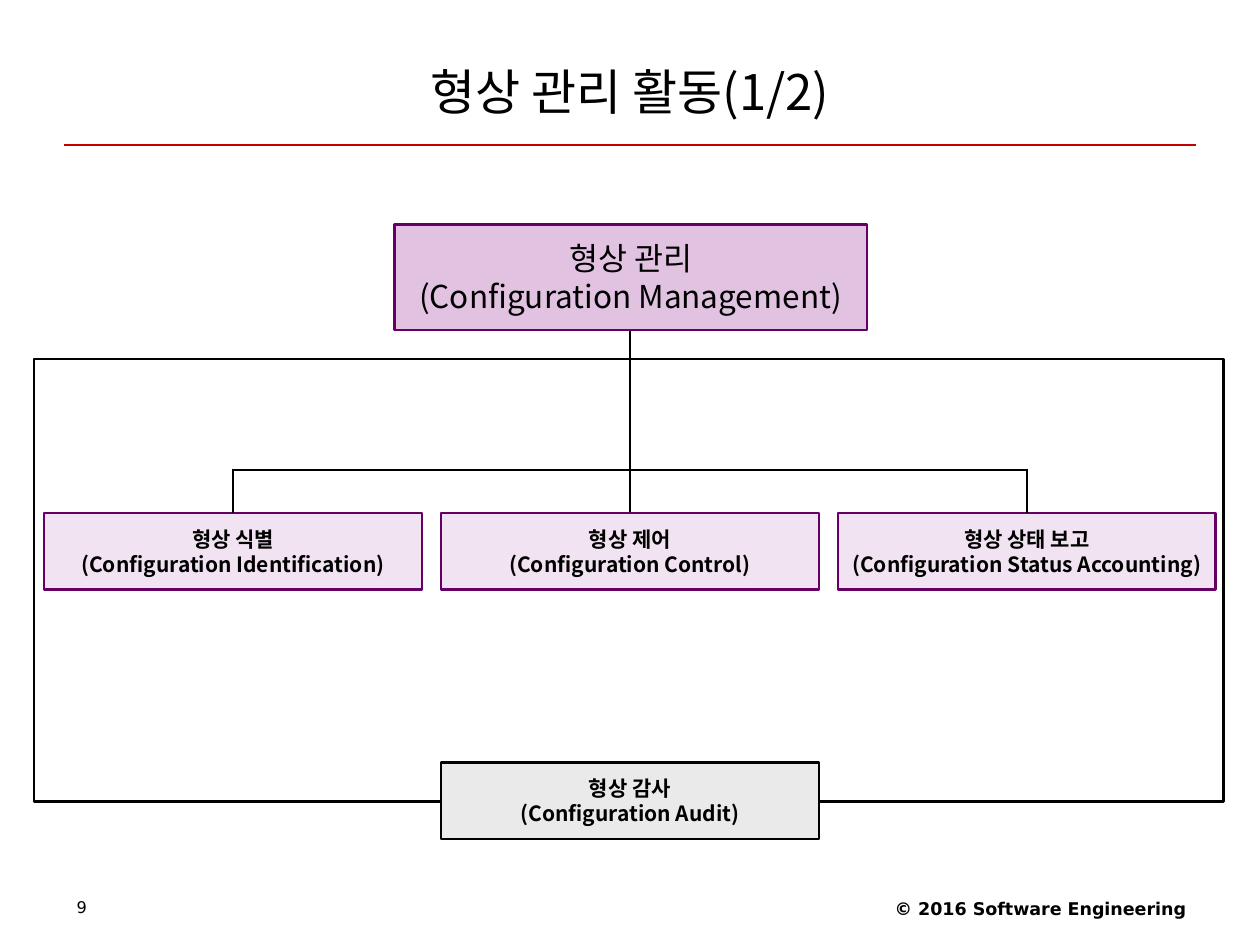
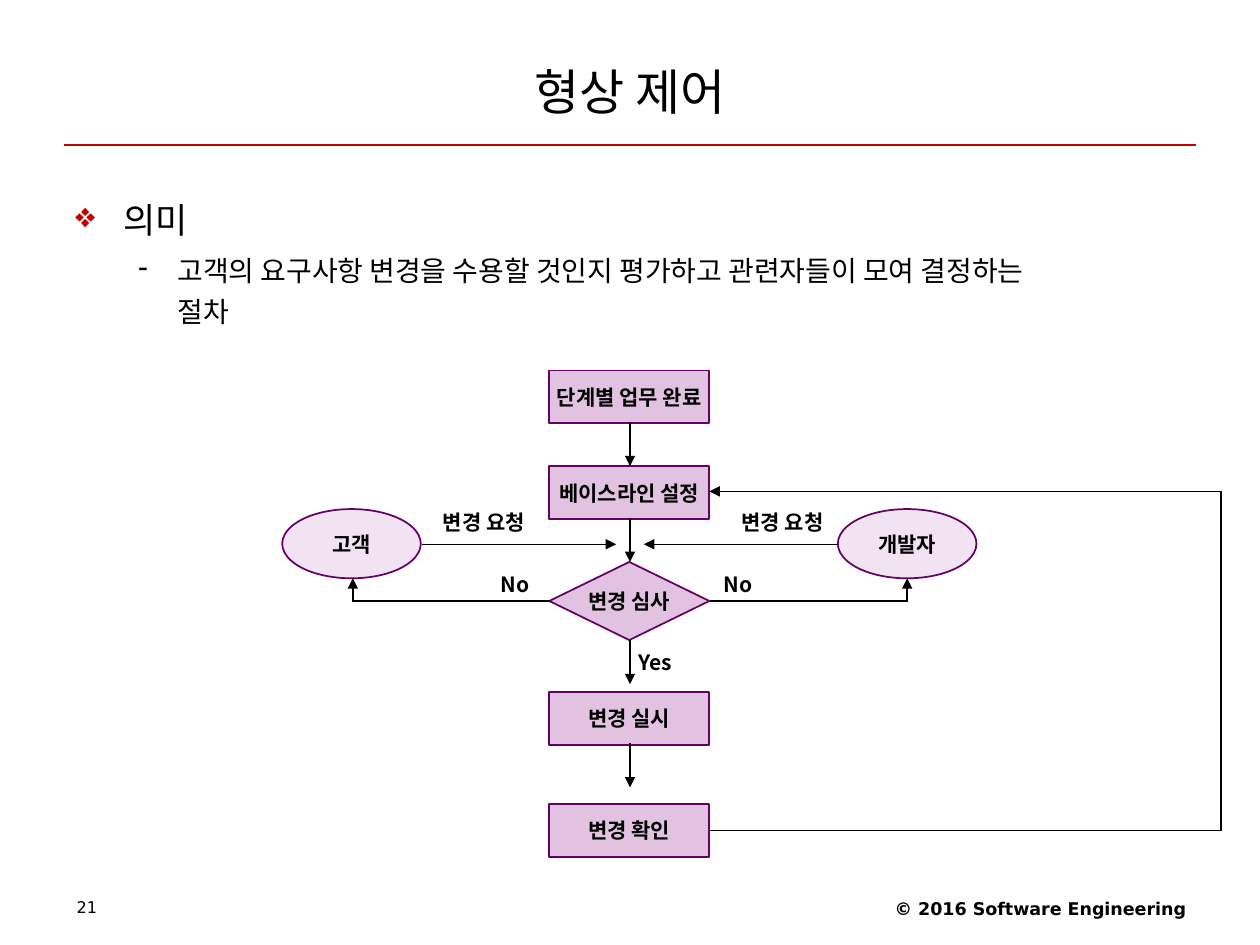
from copy import deepcopy

from lxml import etree
from pptx import Presentation
from pptx.dml.color import RGBColor
from pptx.enum import shapes, text
from pptx.oxml import ns
from pptx.util import Inches, Pt

BLACK = RGBColor(0x00, 0x00, 0x00)
WHITE = RGBColor(0xFF, 0xFF, 0xFF)
RED = RGBColor(0xC4, 0x00, 0x00)
PURPLE = RGBColor(0x66, 0x00, 0x66)
LILAC = RGBColor(0xE1, 0xC3, 0xE1)
PALE = RGBColor(0xF1, 0xE3, 0xF1)
GREY = RGBColor(0xEA, 0xEA, 0xEA)

HANGUL = "Noto Sans CJK KR"
LATIN = "DejaVu Sans"
KIND = shapes.MSO_SHAPE
ALIGN = text.PP_ALIGN
MID = 5


def add_tag(parent, tag, **attrs):
    return etree.SubElement(parent, ns.qn(tag), **attrs)


class Deck:
    """Holds the shared style and the slide being drawn."""

    def __init__(self):
        self.prs = Presentation()
        self.prs.slide_width = Inches(10)
        self.prs.slide_height = Inches(7.5)
        self.slide = None

    def start(self, title, number):
        """Open a slide with the title, rule and footer that all slides share."""
        self.slide = self.prs.slides.add_slide(self.prs.slide_layouts[6])
        self.route([(0.51, 1.15), (9.49, 1.15)], 0.75, RED)
        foot = self.label((6.34, 7.08, 3.17, 0.29))
        self.set_text(foot.paragraphs[0], "© 2016 Software Engineering", 10,
                      True, LATIN, ALIGN.RIGHT)
        page = self.label((0.51, 7.09, 2.33, 0.28)).paragraphs[0]
        self.set_text(page, number, 9.2, False, LATIN, ALIGN.LEFT)
        page.line_spacing = 0.9
        head = self.label((0.5, 0.3, 9, 0.85))
        head.vertical_anchor = text.MSO_ANCHOR.MIDDLE
        self.set_text(head.paragraphs[0], title, 28)

    def set_text(self, para, words, size, bold=False, font=HANGUL,
                 align=ALIGN.CENTER):
        para.text = words
        para.alignment = align
        for run in para.runs:
            run.font.size = Pt(size)
            run.font.bold = bold
            run.font.name = font
            run.font.color.rgb = BLACK
            add_tag(run.font._element, "a:ea", typeface=font)
        for gap in para._p.findall(ns.qn("a:br")):
            gap.append(deepcopy(para.runs[0].font._element))

    def label(self, area):
        frame = self.slide.shapes.add_textbox(*map(Inches, area)).text_frame
        frame.word_wrap = True
        return frame

    def box(self, area, words="", fill=None, edge=PURPLE, width=1, size=12,
            bold=True, kind=KIND.RECTANGLE):
        shape = self.slide.shapes.add_shape(kind, *map(Inches, area))
        shape.shadow.inherit = False
        if fill is None:
            shape.fill.background()
        else:
            shape.fill.solid()
            shape.fill.fore_color.rgb = fill
        if edge is None:
            shape.line.fill.background()
        else:
            shape.line.color.rgb = edge
            shape.line.width = Pt(width)
        if words:
            frame = shape.text_frame
            frame.word_wrap = False
            frame.vertical_anchor = text.MSO_ANCHOR.MIDDLE
            self.set_text(frame.paragraphs[0], words, size, bold)

    def route(self, points, width=0.75, color=BLACK, arrow=False):
        """Join the points with straight lines; the arrow sits at the last."""
        for start, end in zip(points, points[1:]):
            line = self.slide.shapes.add_connector(
                shapes.MSO_CONNECTOR.STRAIGHT, *map(Inches, start + end))
            line.line.color.rgb = color
            line.line.width = Pt(width)
            if len(points) > 2:
                line.line._get_or_add_ln().set("cap", "sq")
            if arrow and end == points[-1]:
                add_tag(line.line._get_or_add_ln(), "a:tailEnd", type="triangle")
            add_tag(line._element.spPr, "a:effectLst")

    def bullet(self, para, words, size, mark, color, left, hang, space, before):
        self.set_text(para, words, size, align=ALIGN.LEFT)
        para.line_spacing = space
        para.space_before = Pt(before)
        props = para._p.get_or_add_pPr()
        props.set("marL", str(Inches(left)))
        props.set("indent", str(-Inches(hang)))
        add_tag(add_tag(props, "a:buClr"), "a:srgbClr", val=str(color))
        add_tag(props, "a:buChar", char=mark)


def draw_tree(deck):
    deck.start("형상 관리 활동(1/2)", "9")
    deck.box((3.13, 1.78, 3.75, 0.84), "형상 관리\n(Configuration Management)",
             LILAC, width=1.5, size=18, bold=False)
    tasks = ["형상 식별\n(Configuration Identification)",
             "형상 제어\n(Configuration Control)",
             "형상 상태 보고\n(Configuration Status Accounting)"]
    for col, task in enumerate(tasks):
        deck.box((0.35 + 3.15 * col, 4.07, 3, 0.61), task, PALE, width=1.5)
    deck.route([(MID, 2.63), (MID, 4.06)], 1.5)
    deck.route([(1.85, 4.06), (1.85, 3.73), (8.15, 3.73), (8.15, 4.06)], 1.5)
    deck.box((0.27, 2.85, 9.44, 3.51), edge=BLACK, width=1.5)
    deck.box((3.5, 6.05, 3, 0.61), "형상 감사\n(Configuration Audit)",
             GREY, BLACK, 1.5)


def draw_flow(deck):
    deck.start("형상 제어", "21")
    body = deck.label((0.5, 1.39, 9, 5.51))
    deck.bullet(body.paragraphs[0], "의미", 20, "❖", RED, 0.38, 0.38, 1.4, 5)
    deck.bullet(body.add_paragraph(),
                "고객의 요구사항 변경을 수용할 것인지 평가하고 관련자들이 모여 결정하는 \n절차",
                16, "-", BLACK, 0.81, 0.31, 1.2, 4)

    steps = [("단계별 업무 완료", 2.94), ("베이스라인 설정", 3.7),
             ("변경 실시", 5.49), ("변경 확인", 6.38)]
    for step, top in steps:
        deck.box((4.36, top, 1.27, 0.42), step, LILAC)
    deck.box((4.36, 4.46, 1.27, 0.62), "변경 심사", LILAC, kind=KIND.DIAMOND)
    for actor, left in [("고객", 2.24), ("개발자", 6.65)]:
        deck.box((left, 4.04, 1.1, 0.55), actor, PALE, kind=KIND.OVAL)

    for top in (3.35, 4.11, 5.08, 5.9):
        deck.route([(MID, top), (MID, top + 0.35)], arrow=True)
    deck.route([(5.63, 6.59), (9.69, 6.59), (9.69, 3.9), (5.63, 3.9)],
               arrow=True)
    for side in (-1, 1):
        deck.route([(MID + 1.65 * side, 4.32), (MID + 0.11 * side, 4.32)],
                   arrow=True)

    notes = [("변경 요청", 3.51, 4.04, 0.66), ("변경 요청", 5.88, 4.04, 0.66),
             ("No", 3.95, 4.53, 0.28), ("No", 5.72, 4.53, 0.28),
             ("Yes", 5.06, 5.15, 0.28)]
    for note, left, top, width in notes:
        deck.box((left, top, width, 0.21), note, WHITE, None)
    for side in (-1, 1):
        actor = MID + 2.2 * side
        deck.route([(MID + 0.64 * side, 4.77), (actor, 4.77), (actor, 4.59)],
                   1, arrow=True)


def main():
    deck = Deck()
    draw_tree(deck)
    draw_flow(deck)
    deck.prs.save("out.pptx")


if __name__ == "__main__":
    main()
